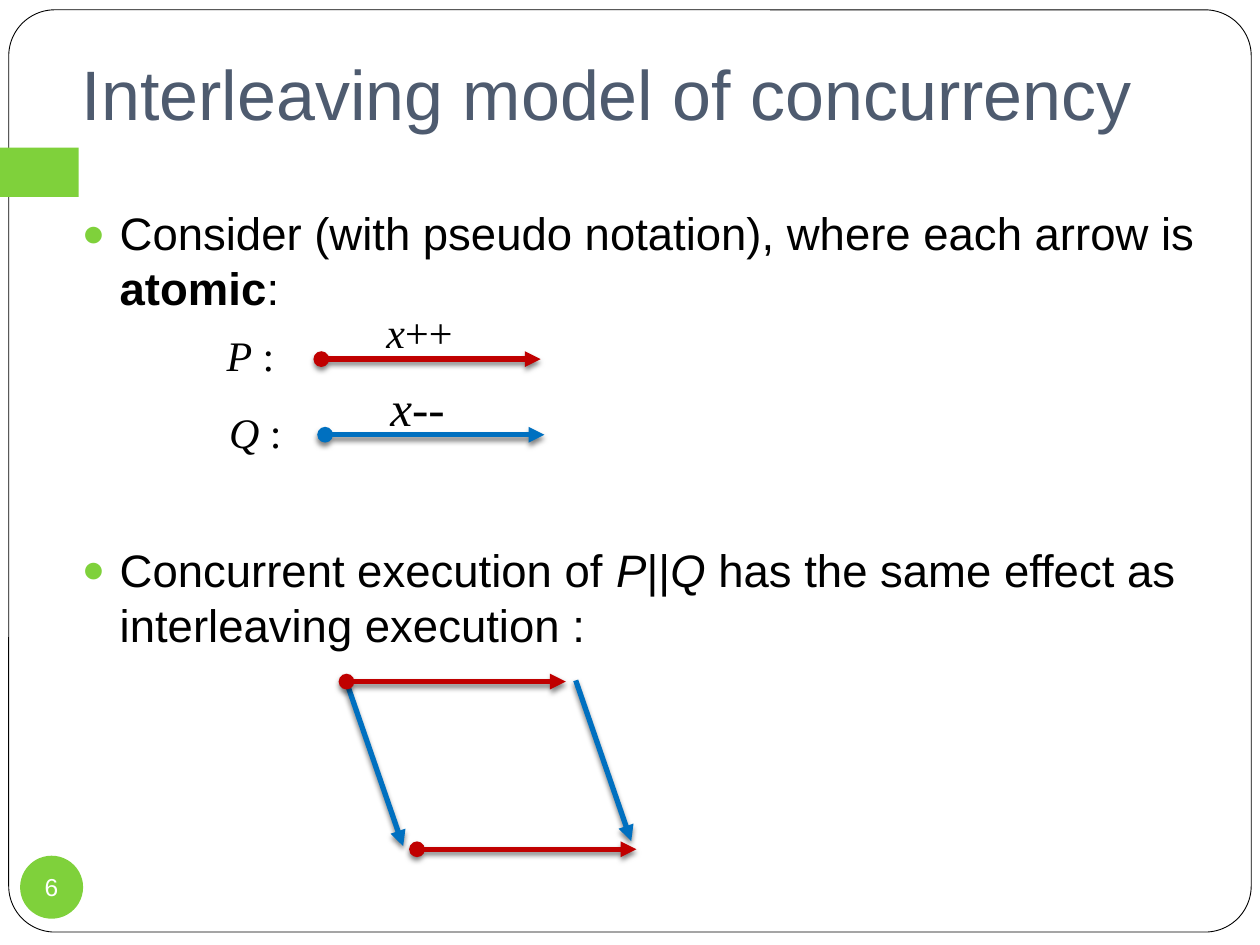
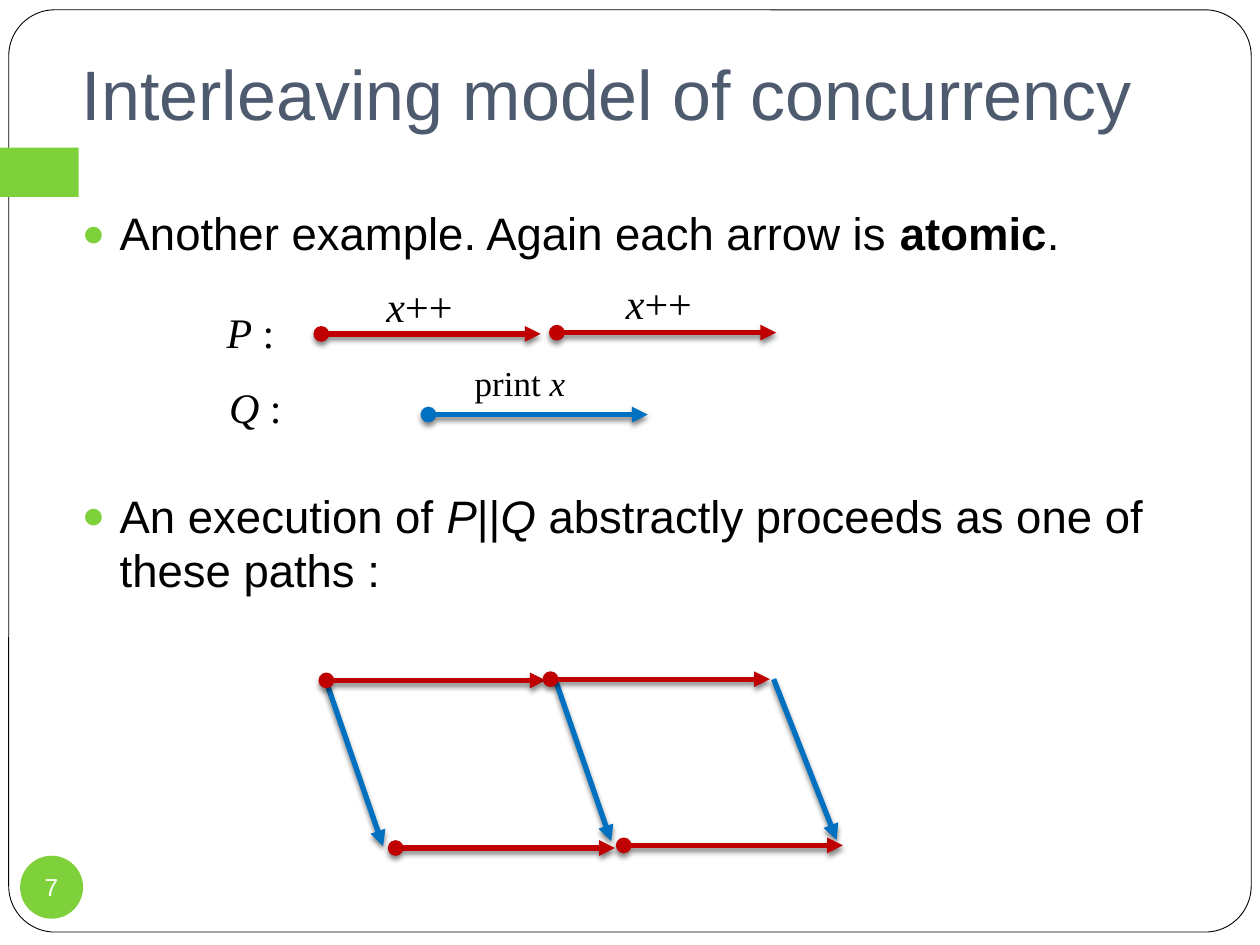
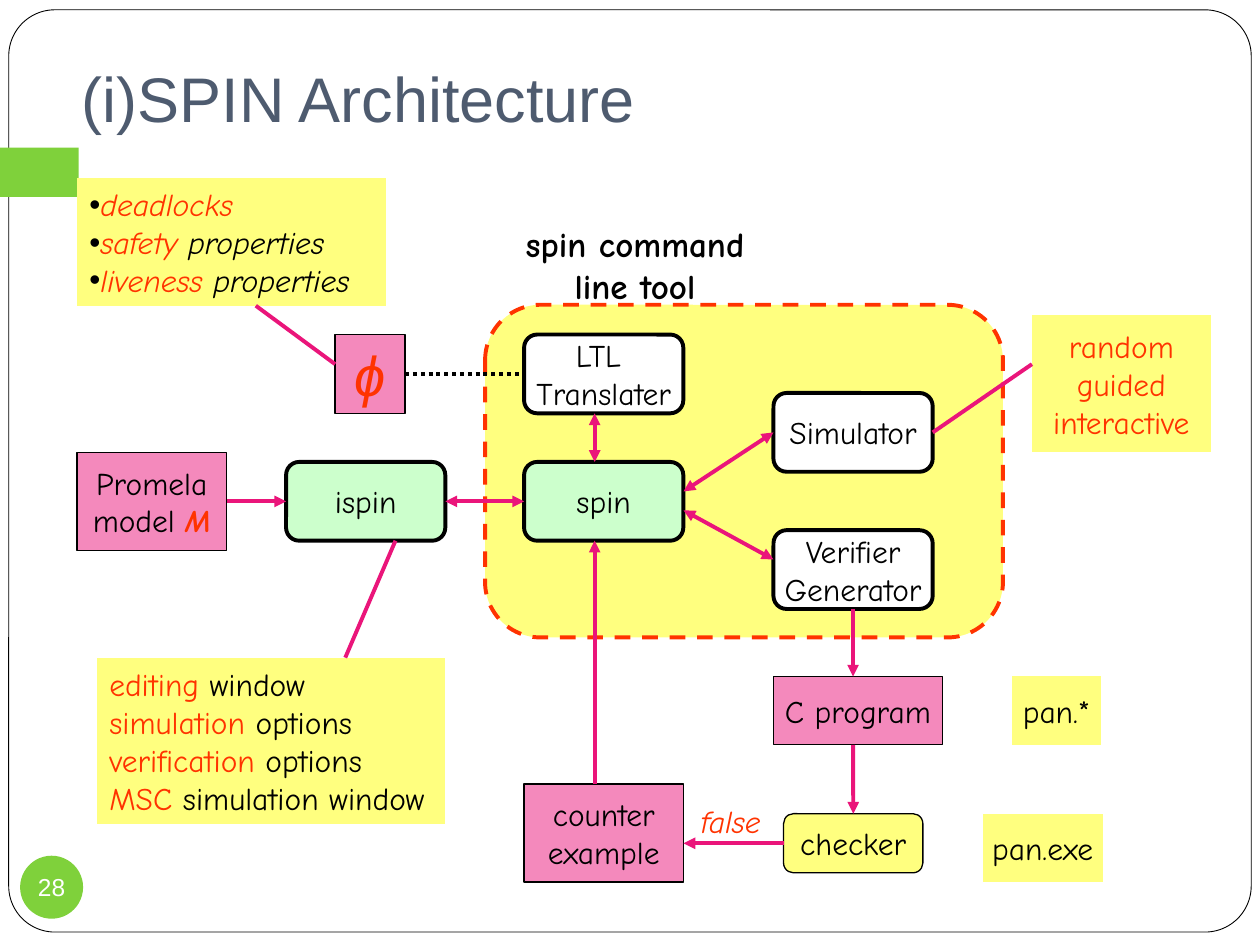
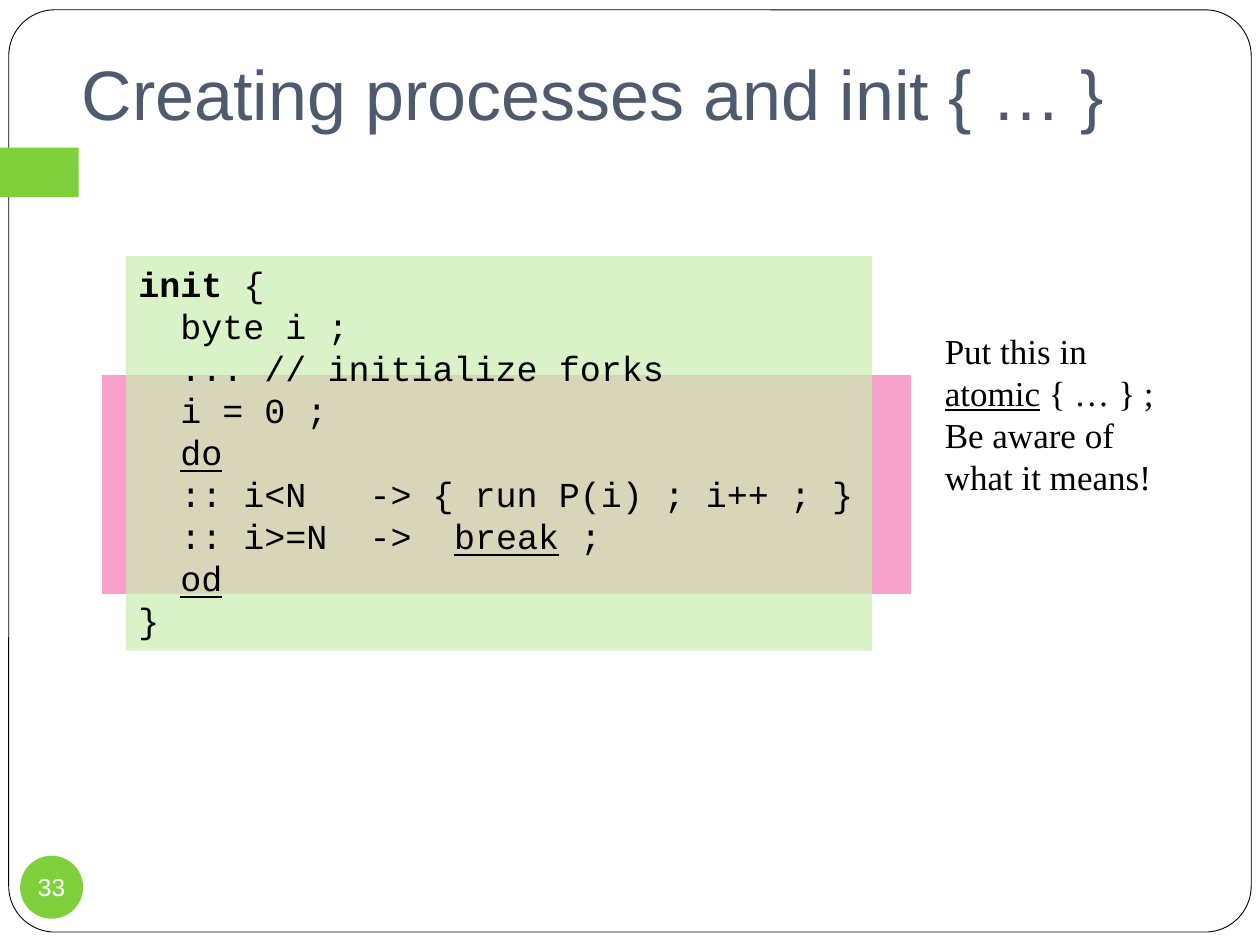
"""Build four lecture slides on interleaving, SPIN and Promela."""
from lxml.etree import SubElement
from pptx import Presentation
from pptx.dml.color import RGBColor
from pptx.enum.dml import MSO_LINE
from pptx.enum.shapes import MSO_CONNECTOR, MSO_SHAPE as SHAPE
from pptx.enum.text import MSO_ANCHOR as ANCHOR, MSO_AUTO_SIZE as FIT, PP_ALIGN as ALIGN
from pptx.oxml.ns import qn
from pptx.util import Pt

GREEN, SLATE, BLACK, WHITE = "7FD13B", "4E5B6F", "000000", "FFFFFF"
RED, BLUE, ORANGE = "C00000", "0070C0", "FF3300"
MAGENTA, YELLOW, MINT = "EA157A", "FFFF7F", "CCFFCC"
SANS, SERIF, COMIC, MONO = "Arial", "Times New Roman", "Comic Neue", "Courier New"
TOP, LEFT, BOTTOM, RIGHT = range(4)

TITLE_BOX = (39.6, 21.6, 658, 62.6)
BODY_BOX = (39.6, 113.8, 658, 360)
BADGE_BOX = (11.5, 489, 36, 36)
BULLET_GAP = 130
STEP = 125.3
DROP = 91.8
SLANT = 31.7

P_LABEL, Q_LABEL = [("P", "i"), " :"], [("Q", "i"), " :"]
INCREMENT = [("x", "i"), "++"]

INTERLEAVINGS = [
    {
        "number": 6,
        "bullets": [
            ["Consider (with pseudo notation), where each arrow is ", ("atomic", "b"), ":"],
            ["Concurrent execution of ", ("P", "i"), "||", ("Q ", "i"),
             "has the same effect as interleaving execution :"],
        ],
        "drops": [(198.7, 391.7, SLANT), (329, 388.8, SLANT)],
        "steps": [(183.6, 205.2, RED), (185.8, 248.4, BLUE),
                  (198, 389.5, RED), (238.3, 485.3, RED)],
        "labels": [
            ((122.4, 185, 41.8, 36.7), 24, P_LABEL),
            ((213.8, 171.4, 52.6, 36.7), 24, INCREMENT),
            ((216, 212.4, 46, 41), 28, [("x--", "i")]),
            ((123.8, 229, 44.6, 36), 24, Q_LABEL),
        ],
    },
    {
        "number": 7,
        "bullets": [
            ["Another example. Again each arrow is ", ("atomic", "b"), "."],
            ["An execution of ", ("P", "i"), "||", ("Q", "i"),
             " abstractly proceeds as one of these paths :"],
        ],
        "drops": [(187.2, 391.7, SLANT), (317.5, 388.8, SLANT), (442.1, 388.1, 36)],
        "steps": [(183.6, 190.8, RED), (318.2, 190.1, RED), (244.8, 236.9, BLUE),
                  (186.5, 388.8, RED), (314.6, 388.1, RED),
                  (226.1, 484.6, RED), (356.4, 483.1, RED)],
        "labels": [
            ((122.4, 171.4, 41.8, 36.7), 24, P_LABEL),
            ((213.8, 157, 52.6, 36.7), 24, INCREMENT),
            ((350.6, 154.8, 52.6, 36.7), 24, INCREMENT),
            ((264.2, 203, 66.2, 31.7), 20, ["print ", ("x", "i")]),
            ((123.8, 214.6, 44.6, 36), 24, Q_LABEL),
        ],
    },
]

STAGE = (91, 45)
STYLES = {
    "tool": (SHAPE.FLOWCHART_ALTERNATE_PROCESS, YELLOW, None, ORANGE, 2.25),
    "program": (SHAPE.FLOWCHART_ALTERNATE_PROCESS, MINT, None, BLACK, 2.25),
    "part": (SHAPE.FLOWCHART_ALTERNATE_PROCESS, WHITE, None, BLACK, 2.25),
    "checker": (SHAPE.FLOWCHART_ALTERNATE_PROCESS, YELLOW, None, BLACK, 0.75),
    "data": (SHAPE.FLOWCHART_PROCESS, MAGENTA, 50, BLACK, 0.75),
    "note": (SHAPE.FLOWCHART_PROCESS, YELLOW, None, None, 0),
    "list": (SHAPE.FLOWCHART_PROCESS, YELLOW, None, None, 0),
}
BLOCKS = {
    "tool": ("tool", (277.2, 174.2, 295.9, 190.1), []),
    "translater": ("part", (299.5, 191.2, *STAGE), [["LTL "], ["Translater"]]),
    "spin": ("program", (299.5, 264, *STAGE), [["spin"]]),
    "simulator": ("part", (442, 224.6, *STAGE), [["Simulator"]]),
    "verifier": ("part", (442, 303, *STAGE), [["Verifier"], ["Generator"]]),
    "modes": ("note", (589.7, 180, 102.2, 78.5),
              [[("random", "h")], [("guided", "h")], [("interactive", "h")]]),
    "ispin": ("program", (163.5, 264, *STAGE), [["ispin"]]),
    "formula": ("data", (191.5, 191.2, 40, 45), [[("ϕ", "hi")]]),
    "properties": ("list", (44, 102, 176.4, 72.7),
                   [[("deadlocks", "hi")],
                    [("safety ", "hi"), ("properties", "i")],
                    [("liveness ", "hi"), ("properties", "i")]]),
    "model": ("data", (44, 258.5, 85.5, 56), [["Promela"], ["model ", ("M", "hbi")]]),
    "windows": ("list", (55.4, 375.8, 198.7, 95),
                [[("editing ", "h"), "window"], [("simulation ", "h"), "options"],
                 [("verification ", "h"), "options"], [("MSC ", "h"), "simulation window"]]),
    "source": ("data", (442, 386.6, 96.5, 39), [["C program"]]),
    "checker": ("checker", (447.8, 465, 79.6, 33.8), [["checker"]]),
    "pan files": ("note", (578.2, 386.6, 51.1, 39), [["pan.*"]]),
    "pan program": ("note", (561.6, 465, 68.4, 39), [["pan.exe"]]),
    "counterexample": ("data", (299.5, 448, 91, 56), [["counter"], ["example"]]),
}
BOTH, FORWARD, PLAIN = ("triangle", "triangle"), (None, "triangle"), (None, None)
LINKS = [
    ((339.8, 236.2), (339.8, 264), BOTH),
    ((390.6, 280.8), ("simulator", LEFT), BOTH),
    ((390.6, 291.6), (442, 319.7), BOTH),
    ((589.7, 208.1), ("simulator", RIGHT), PLAIN),
    (("ispin", RIGHT), ("spin", LEFT), BOTH),
    ((146.2, 174.7), (191.5, 208.1), PLAIN),
    (("model", RIGHT), ("ispin", LEFT), FORWARD),
    ((226, 309), (197.3, 375.8), PLAIN),
    (("verifier", BOTTOM), (487.5, 386.6), FORWARD),
    ((487.5, 425.6), ("checker", TOP), FORWARD),
    (("checker", LEFT), (390.6, 481.9), FORWARD),
    ((339.8, 448), (339.8, 309), FORWARD),
]

CODE = [
    [("init", "b"), " {"],
    ["  byte i ;"],
    ["  ... // initialize forks"],
    ["  i = 0 ;"],
    ["  ", ("do", "u")],
    ["  :: i<N   -> { run P(i) ; i++ ; }"],
    ["  :: i>=N  ->  ", ("break", "u"), " ;"],
    ["  ", ("od", "u")],
    ["}"],
]
ADVICE = [["Put this in ", ("atomic", "u"), " { … } ;"], ["Be aware of what it means!"]]


def rgb(code):
    return RGBColor.from_string(code)


def points(values):
    return [Pt(value) for value in values]


def write(frame, paragraphs, size, font=SANS, color=BLACK, align=ALIGN.LEFT):
    """Fill a frame; run flags are b, i, u and h for highlight."""
    for index, runs in enumerate(paragraphs):
        paragraph = frame.add_paragraph() if index else frame.paragraphs[0]
        paragraph.alignment = align
        for part in runs:
            words, flags = (part, "") if isinstance(part, str) else part
            run = paragraph.add_run()
            run.text = words
            run.font.size, run.font.name = Pt(size), font
            run.font.color.rgb = rgb(ORANGE if "h" in flags else color)
            run.font.bold = "b" in flags
            run.font.italic = "i" in flags
            run.font.underline = "u" in flags


def add_bullet(paragraph, mark, color, hang, percent=100):
    properties = paragraph._p.get_or_add_pPr()
    properties.set("marL", str(Pt(hang)))
    properties.set("indent", str(-Pt(hang)))
    SubElement(SubElement(properties, qn("a:buClr")), qn("a:srgbClr"), val=color)
    SubElement(properties, qn("a:buSzPct"), val=str(percent * 1000))
    SubElement(properties, qn("a:buFont"), typeface=SANS)
    SubElement(properties, qn("a:buChar"), char=mark)


def add_block(slide, kind, box, fill, alpha=None, line=None, width=0):
    block = slide.shapes.add_shape(kind, *points(box))
    block.shadow.inherit = False
    block.fill.solid()
    block.fill.fore_color.rgb = rgb(fill)
    if alpha:
        color = block.element.spPr.find(f".//{qn('a:srgbClr')}")
        SubElement(color, qn("a:alpha"), val=str(alpha * 1000))
    if line:
        block.line.color.rgb = rgb(line)
        block.line.width = Pt(width)
    else:
        block.line.fill.background()
    block.text_frame.word_wrap = False
    return block


def add_label(slide, box, paragraphs, size, font, wrap=False, **look):
    frame = slide.shapes.add_textbox(*points(box)).text_frame
    frame.word_wrap = wrap
    frame.auto_size = FIT.SHAPE_TO_FIT_TEXT
    write(frame, paragraphs, size, font, **look)


def add_line(slide, start, end, color, width, ends=PLAIN, dash=None, shadow=False):
    connector = slide.shapes.add_connector(MSO_CONNECTOR.STRAIGHT, *points((*start, *end)))
    connector.line.color.rgb = rgb(color)
    connector.line.width = Pt(width)
    if dash:
        connector.line.dash_style = dash
    properties = connector.element.spPr
    for tag, arrow in zip(("a:headEnd", "a:tailEnd"), ends):
        if arrow:
            SubElement(properties.find(qn("a:ln")), qn(tag), type=arrow)
    effects = SubElement(properties, qn("a:effectLst"))
    if shadow:
        outer = SubElement(effects, qn("a:outerShdw"), blurRad=str(Pt(3)), dist=str(Pt(2)),
                           dir="5400000", rotWithShape="0")
        shade = SubElement(outer, qn("a:srgbClr"), val=BLACK)
        SubElement(shade, qn("a:alpha"), val="50000")
    return connector


def place(placeholder, box):
    placeholder.left, placeholder.top, placeholder.width, placeholder.height = points(box)
    frame = placeholder.text_frame
    frame.auto_size, frame.word_wrap = FIT.NONE, True
    return frame


def add_slide(deck, title, number, layout="Title Only", size=40):
    slide = deck.slides.add_slide(deck.slide_layouts.get_by_name(layout))
    frame = place(slide.shapes.title, TITLE_BOX)
    frame.vertical_anchor = ANCHOR.BOTTOM
    frame.margin_bottom = Pt(7.2)
    write(frame, [[title]], size, color=SLATE)
    badge = add_block(slide, SHAPE.OVAL, BADGE_BOX, GREEN).text_frame
    badge.margin_left = badge.margin_right = badge.margin_top = badge.margin_bottom = 0
    badge.vertical_anchor = ANCHOR.MIDDLE
    write(badge, [[str(number)]], 14, color=WHITE, align=ALIGN.CENTER)
    return slide


def decorate_master(deck, slide):
    """Move the frame and the side band to the master, behind its placeholders."""
    border = add_block(slide, SHAPE.ROUNDED_RECTANGLE, (5, 5.6, 710, 527), WHITE,
                       line=BLACK, width=0.5)
    border.adjustments[0] = 0.05
    band = add_block(slide, SHAPE.RECTANGLE, (0, 84.4, 45, 28.2), GREEN)
    for position, part in enumerate((border, band), 2):
        deck.slide_master.shapes.element.insert(position, part.element)


def add_interleaving(deck, content):
    slide = add_slide(deck, "Interleaving model of concurrency", content["number"],
                      "Title and Content")
    body = place(slide.placeholders[1], BODY_BOX)
    write(body, content["bullets"], 26)
    for paragraph, gap in zip(body.paragraphs, (0, BULLET_GAP)):
        add_bullet(paragraph, "●", GREEN, 21.6, 85)
        paragraph.space_before = Pt(gap)
    for x, y, slant in content["drops"]:
        add_line(slide, (x, y), (x + slant, y + DROP), BLUE, 3, FORWARD, shadow=True)
    for x, y, color in content["steps"]:
        add_line(slide, (x, y), (x + STEP, y), color, 3, ("oval", "triangle"), shadow=True)
    for box, size, runs in content["labels"]:
        add_label(slide, box, [runs], size, SERIF)
    return slide


def add_architecture(deck):
    slide = add_slide(deck, "(i)SPIN Architecture", 28, size=36)
    blocks = {}
    for name, (style, box, paragraphs) in BLOCKS.items():
        kind, *look = STYLES[style]
        blocks[name] = add_block(slide, kind, box, *look)
        frame = blocks[name].text_frame
        frame.vertical_anchor = ANCHOR.MIDDLE
        size, font = (32, SANS) if name == "formula" else (18, COMIC)
        align = ALIGN.LEFT if style == "list" else ALIGN.CENTER
        write(frame, paragraphs, size, font, align=align)
    blocks["tool"].line.dash_style = MSO_LINE.DASH
    for paragraph in blocks["properties"].text_frame.paragraphs:
        add_bullet(paragraph, "•", BLACK, 5.5)

    def link(start, end, *look):
        glued = [isinstance(tip[0], str) for tip in (start, end)]
        spots = [(0, 0) if joined else tip for joined, tip in zip(glued, (start, end))]
        connector = add_line(slide, *spots, *look)
        if glued[0]:
            connector.begin_connect(blocks[start[0]], start[1])
        if glued[1]:
            connector.end_connect(blocks[end[0]], end[1])

    for start, end, ends in LINKS:
        link(start, end, MAGENTA, 2.25, ends)
    link(("formula", RIGHT), ("translater", LEFT), BLACK, 2.25, PLAIN, MSO_LINE.ROUND_DOT)
    add_label(slide, (286.6, 123.8, 152.6, 55.4), [[("spin command line tool", "b")]], 20,
              COMIC, wrap=True, align=ALIGN.CENTER)
    add_label(slide, (389.5, 455, 56.2, 28.8), [[("false", "i")]], 18, COMIC,
              color=ORANGE, align=ALIGN.CENTER)


def add_processes(deck):
    slide = add_slide(deck, "Creating processes and init { … }", 33)
    add_block(slide, SHAPE.RECTANGLE, (58.3, 214.4, 462.2, 125), "F7A1CA")
    code = add_block(slide, SHAPE.RECTANGLE, (72, 146.4, 426.4, 225.4), "CCEDB1", 71).text_frame
    code.vertical_anchor = ANCHOR.TOP
    write(code, CODE, 20, MONO)
    add_label(slide, (532.8, 184.6, 139.7, 104.4), ADVICE, 20, SERIF, wrap=True)


def main():
    deck = Presentation()
    deck.slide_width, deck.slide_height = Pt(720), Pt(540)
    slides = [add_interleaving(deck, content) for content in INTERLEAVINGS]
    decorate_master(deck, slides[0])
    add_architecture(deck)
    add_processes(deck)
    deck.save("out.pptx")


if __name__ == "__main__":
    main()
